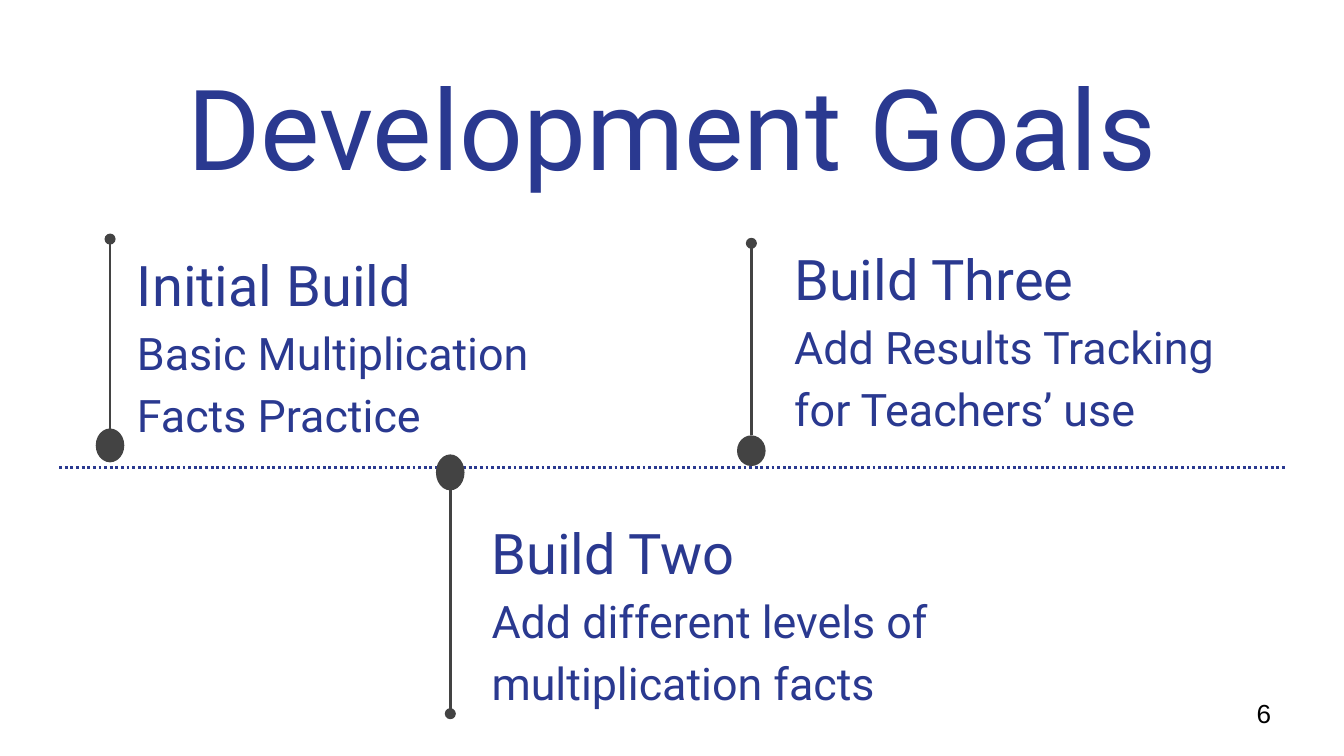
from lxml import etree
from pptx import Presentation
from pptx import util as u
from pptx.dml.color import RGBColor
from pptx.enum import dml, shapes, text
from pptx.oxml.ns import qn

COLOURS = {"navy": "2A3990", "grey": "434343", "black": "000000"}

presentation = Presentation()
presentation.slide_width = u.Cm(25.4)
presentation.slide_height = u.Cm(14.29)
slide = presentation.slides.add_slide(presentation.slide_layouts[6])


def add_text(left, top, width, height, lines, font="Roboto", colour="navy",
             align=text.PP_ALIGN.LEFT, anchor=text.MSO_ANCHOR.TOP, spacing=1.0):
    """Add a text box; lines holds one (words, point size) pair per paragraph."""
    box = slide.shapes.add_textbox(u.Cm(left), u.Cm(top), u.Cm(width), u.Cm(height))
    frame = box.text_frame
    frame.word_wrap = True
    frame.vertical_anchor = anchor
    frame.margin_left = frame.margin_right = u.Cm(0.25)
    frame.margin_top = frame.margin_bottom = u.Cm(0.25)
    for index, (words, size) in enumerate(lines):
        paragraph = frame.add_paragraph() if index else frame.paragraphs[0]
        paragraph.alignment = align
        paragraph.line_spacing = spacing
        run = paragraph.add_run()
        run.text = words
        run.font.name = font
        run.font.size = u.Pt(size)
        run.font.color.rgb = RGBColor.from_string(COLOURS[colour])


def add_line(x1, y1, x2, y2, colour):
    line = slide.shapes.add_connector(
        shapes.MSO_CONNECTOR.STRAIGHT, u.Cm(x1), u.Cm(y1), u.Cm(x2), u.Cm(y2))
    line.line.color.rgb = RGBColor.from_string(COLOURS[colour])
    line.line.width = u.Pt(1.5)
    etree.SubElement(line._element.spPr, qn("a:effectLst"))
    return line


timeline = add_line(1.12, 8.84, 24.28, 8.84, "navy")
timeline.line.dash_style = dml.MSO_LINE.ROUND_DOT

add_text(0.86, 0.86, 23.67, 2.24, [("Development Goals", 60)],
         align=text.PP_ALIGN.CENTER)

# centre x, marker top, marker height, stem start, stem end, text left, top, width, lines
milestones = [
    (2.08, 8.1, 0.64, 8.1, 4.52, 2.34, 4.29, 9.3,
     "Initial Build", "Basic Multiplication Facts Practice"),
    (8.51, 8.59, 0.68, 9.27, 13.49, 9.04, 9.37, 10.92,
     "Build Two", "Add different levels of multiplication facts"),
    (14.2, 8.23, 0.58, 8.23, 4.6, 14.76, 4.19, 9.3,
     "Build Three", "Add Results Tracking for Teachers’ use"),
]
MARKER_WIDTH = 0.54

for (centre, marker_top, marker_height, stem_start, stem_end,
     left, top, width, heading, goal) in milestones:
    stem = add_line(centre, stem_start, centre, stem_end, "grey")
    etree.SubElement(stem.line._get_or_add_ln(), qn("a:tailEnd"), type="oval")

    marker = slide.shapes.add_shape(
        shapes.MSO_SHAPE.OVAL, u.Cm(centre - MARKER_WIDTH / 2), u.Cm(marker_top),
        u.Cm(MARKER_WIDTH), u.Cm(marker_height))
    marker.shadow.inherit = False
    marker.fill.solid()
    marker.fill.fore_color.rgb = RGBColor.from_string(COLOURS["grey"])
    marker.line.fill.background()

    add_text(left, top, width, 3.91, [(heading, 30), (goal, 24)], spacing=1.15)

add_text(23.5, 12.93, 1.52, 1.09, [("6", 14)], font="Arial", colour="black",
         anchor=text.MSO_ANCHOR.MIDDLE)

presentation.save("out.pptx")
